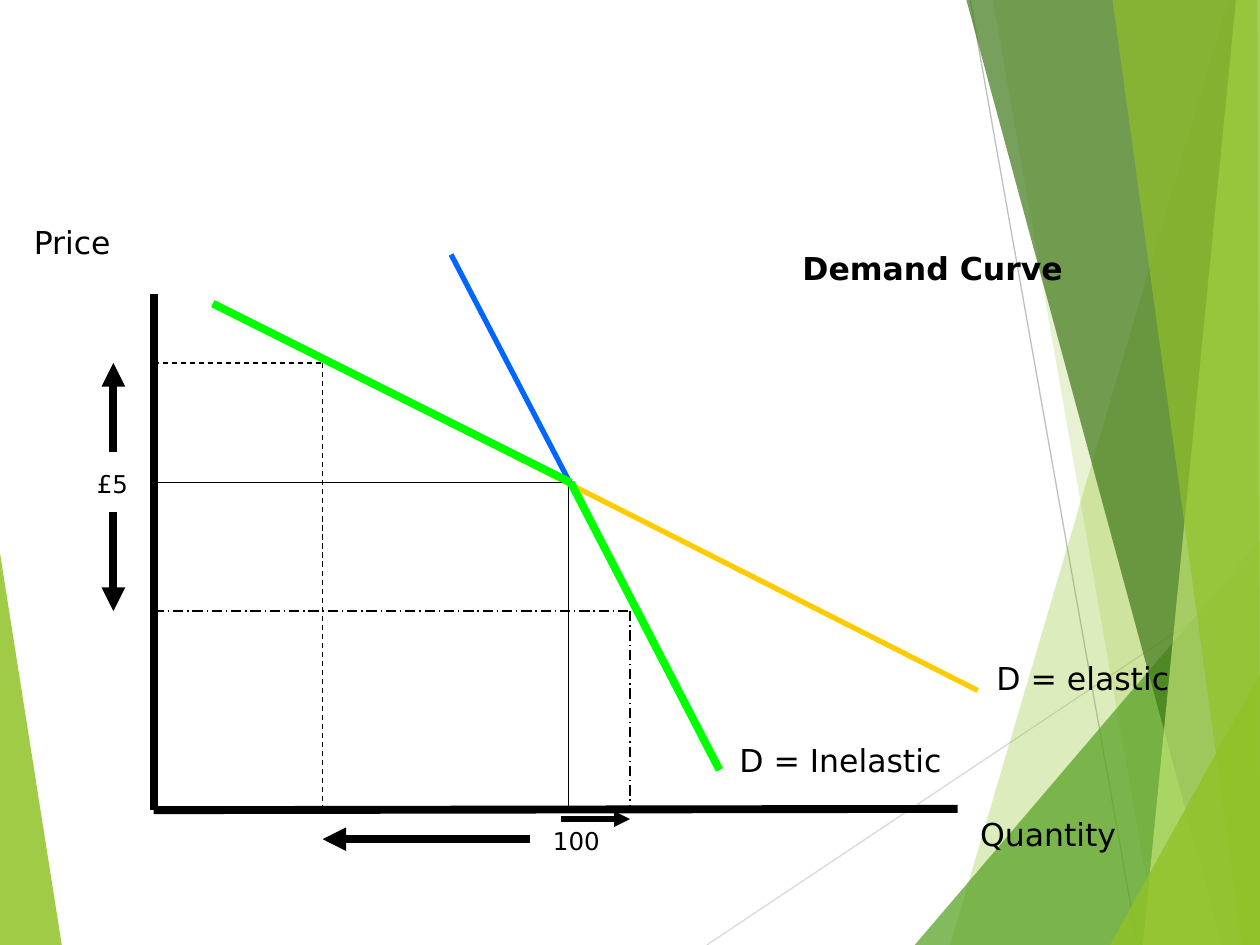
import dataclasses

import lxml.etree
import pptx
import pptx.dml.color
import pptx.enum.dml
import pptx.enum.shapes
import pptx.enum.text
import pptx.oxml.ns
import pptx.util

FONT = "DejaVu Sans"
DASH = pptx.enum.dml.MSO_LINE.DASH
DASH_DOT = pptx.enum.dml.MSO_LINE.LONG_DASH_DOT
SLIDE_WIDTH = pptx.util.Inches(10)
SLIDE_HEIGHT = pptx.util.Inches(7.5)


@dataclasses.dataclass
class Grid:
    """A box in shares of the slide, cut in columns and rows; negative height counts rows upward."""
    left: float
    top: float
    width: float
    height: float
    columns: float
    rows: float

    def point(self, column, row):
        """Return the slide position of a grid point."""
        x = self.left + self.width * column / self.columns
        y = self.top + self.height * row / self.rows
        return round(x * SLIDE_WIDTH), round(y * SLIDE_HEIGHT)


def color(hex_code):
    """Turn a hex string into a colour."""
    return pptx.dml.color.RGBColor.from_string(hex_code)


def add_xml(parent, tag, **attributes):
    """Append a DrawingML element."""
    element = lxml.etree.SubElement(parent, pptx.oxml.ns.qn(tag))
    for name, value in attributes.items():
        element.set(name, value)


def add_line(slide, grid, start, end, stroke="000000", weight=0.75, dash=None, arrow=False):
    """Draw a straight line between two grid points."""
    line = slide.shapes.add_connector(
        pptx.enum.shapes.MSO_CONNECTOR.STRAIGHT, *grid.point(*start), *grid.point(*end))
    line.line.color.rgb = color(stroke)
    line.line.width = pptx.util.Pt(weight)
    if dash is not None:
        line.line.dash_style = dash
    if arrow:
        add_xml(line.line._get_or_add_ln(), "a:tailEnd", type="triangle")
    add_xml(line._element.spPr, "a:effectLst")


def add_facet(slide, grid, corners, fill, opacity):
    """Draw a translucent polygon through grid points."""
    outline = [grid.point(*corner) for corner in corners]
    builder = slide.shapes.build_freeform(*outline[0])
    builder.add_line_segments(outline[1:], close=True)
    facet = builder.convert_to_shape()
    facet.shadow.inherit = False
    facet.line.fill.background()
    facet.fill.solid()
    facet.fill.fore_color.rgb = color(fill)
    for solid in facet._element.spPr.iter(pptx.oxml.ns.qn("a:srgbClr")):
        add_xml(solid, "a:alpha", val=str(opacity * 1000))


def add_label(slide, grid, text, corner, size=18, bold=False, width=2, height=0.4):
    """Write one line of text with its box's top left at a grid point."""
    box = slide.shapes.add_textbox(
        *grid.point(*corner), pptx.util.Inches(width), pptx.util.Inches(height))
    box.text_frame.auto_size = pptx.enum.text.MSO_AUTO_SIZE.SHAPE_TO_FIT_TEXT
    box.text_frame.word_wrap = False
    paragraph = box.text_frame.paragraphs[0]
    paragraph.text = text
    paragraph.font.name = FONT
    paragraph.font.size = pptx.util.Pt(size)
    paragraph.font.bold = bold
    paragraph.font.color.rgb = color("000000")


def draw_backdrop(slide, grid):
    """Draw the green facets and the two thin grey lines."""
    right, bottom = grid.columns, grid.rows
    corner = (right, bottom)
    add_facet(slide, grid, [(0, 43.9), (4.9, bottom), (0, bottom)], "90C226", 85)
    add_line(slide, grid, (56.1, bottom), (right, 45.7), "D9D9D9")
    add_line(slide, grid, (77, 0), (90.3, bottom), "BFBFBF")
    facets = [
        ([(97.5, 0), (75.4, bottom), corner, (right, 0)], "90C226", 30),
        ([(78.8, 0), (91.9, bottom), corner, (right, 0)], "90C226", 20),
        ([(72.6, bottom), (right, 42.9), corner], "54A021", 72),
        ([(76.7, 0), (97, bottom), corner, (right, 0)], "3F7819", 70),
        ([(98.1, 0), (90.7, bottom), corner, (right, 0)], "C0E474", 70),
        ([(88.3, 0), (98.6, bottom), corner, (99.8, 0)], "90C226", 65),
        ([(88.1, bottom), (right, 53.5), corner], "90C226", 80),
    ]
    for corners, fill, opacity in facets:
        add_facet(slide, grid, corners, fill, opacity)


def draw_demand(slide, grid):
    """Draw the kinked demand curve; columns are quantity and rows are price."""
    origin = (0, 0)
    kink = (33.1, 26)
    elastic_start, elastic_end = (4.7, 40.2), (65.4, 9.5)
    inelastic_start, inelastic_end = (23.6, 44.1), (44.9, 3.2)
    base_quantity = 32.9
    high_price, low_quantity = 35.5, 13.4
    low_price, high_quantity = 15.8, 37.8

    add_line(slide, grid, origin, (0, grid.rows), weight=4.5)
    add_line(slide, grid, origin, (63.8, 0.1), weight=4.5)
    add_line(slide, grid, elastic_start, elastic_end, "FFCC00", 3)
    add_line(slide, grid, inelastic_start, inelastic_end, "0066FF", 3)

    add_line(slide, grid, kink, (0, kink[1]))
    add_line(slide, grid, (base_quantity, kink[1]), (base_quantity, 0))
    for quantity, price, dash in [(low_quantity, high_price, DASH),
                                  (high_quantity, low_price, DASH_DOT)]:
        add_line(slide, grid, (0, price), (quantity, price), dash=dash)
        add_line(slide, grid, (quantity, price), (quantity, 0), dash=dash)

    for start, end, weight in [
        ((29.9, -2.3), (low_quantity, -2.3), 4.5),
        ((32.3, -0.7), (high_quantity, -0.7), 3),
        ((-3.2, 28.4), (-3.2, high_price), 4.5),
        ((-3.2, 23.7), (-3.2, low_price), 4.5),
    ]:
        add_line(slide, grid, start, end, weight=weight, arrow=True)

    for start, end in [(elastic_start, kink), (kink, inelastic_end)]:
        add_line(slide, grid, start, end, "00FF00", 4.5)

    add_label(slide, grid, "Demand Curve", (50.5, 45), bold=True, width=2.28)
    add_label(slide, grid, "Price", (-10.5, 47.1), width=0.81)
    add_label(slide, grid, "Quantity", (64.6, 0.1), width=1.28)
    add_label(slide, grid, "D = elastic", (65.9, 12.5), width=1.57)
    add_label(slide, grid, "D = Inelastic", (45.5, 6), width=1.84)
    add_label(slide, grid, "£5", (-5.5, 27.6), size=14, width=0.45, height=0.33)
    add_label(slide, grid, "100", (30.7, -0.8), size=14, width=0.57, height=0.33)


def main():
    """Build and save the slide."""
    deck = pptx.Presentation()
    deck.slide_width = SLIDE_WIDTH
    deck.slide_height = SLIDE_HEIGHT
    slide = deck.slides.add_slide(deck.slide_layouts[6])
    draw_backdrop(slide, Grid(0, 0, 1, 1, columns=100, rows=75))
    draw_demand(slide, Grid(0.122, 64.3 / 75, 0.64, -41 / 75, columns=64, rows=41))
    deck.save("out.pptx")


if __name__ == "__main__":
    main()
